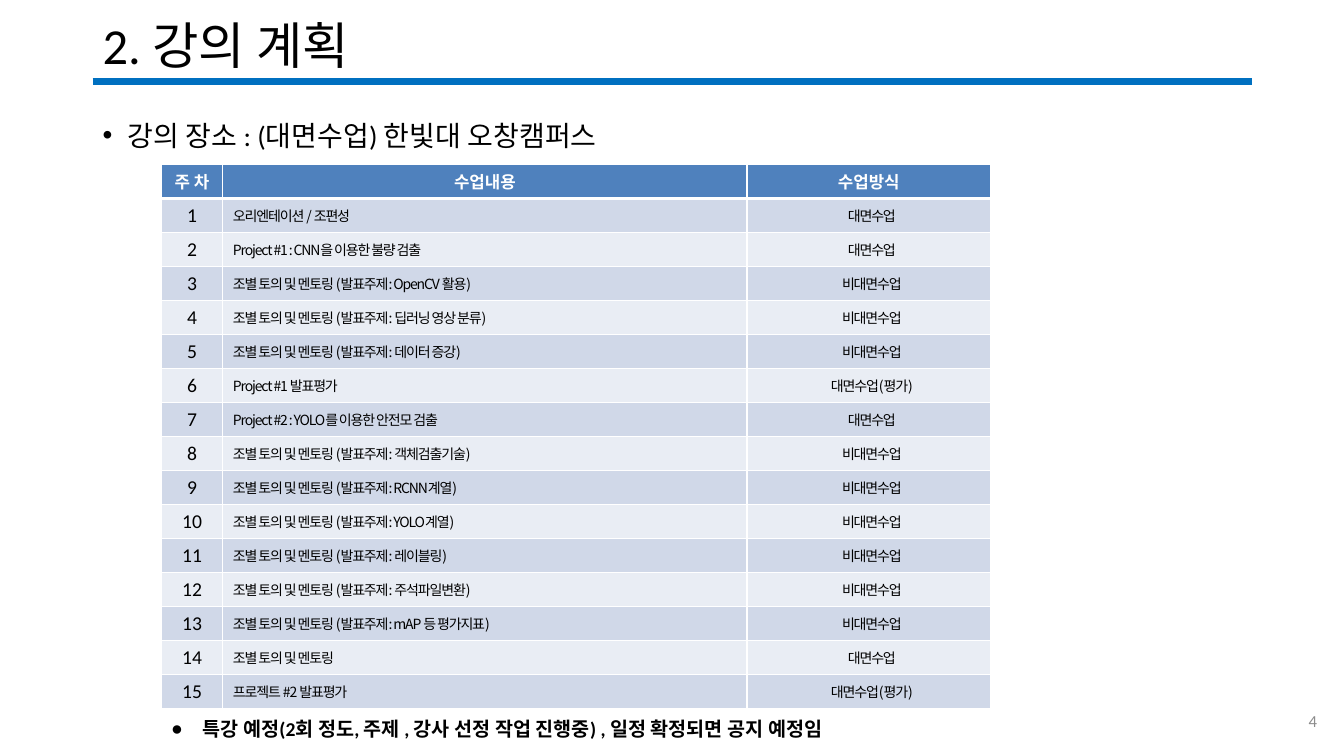
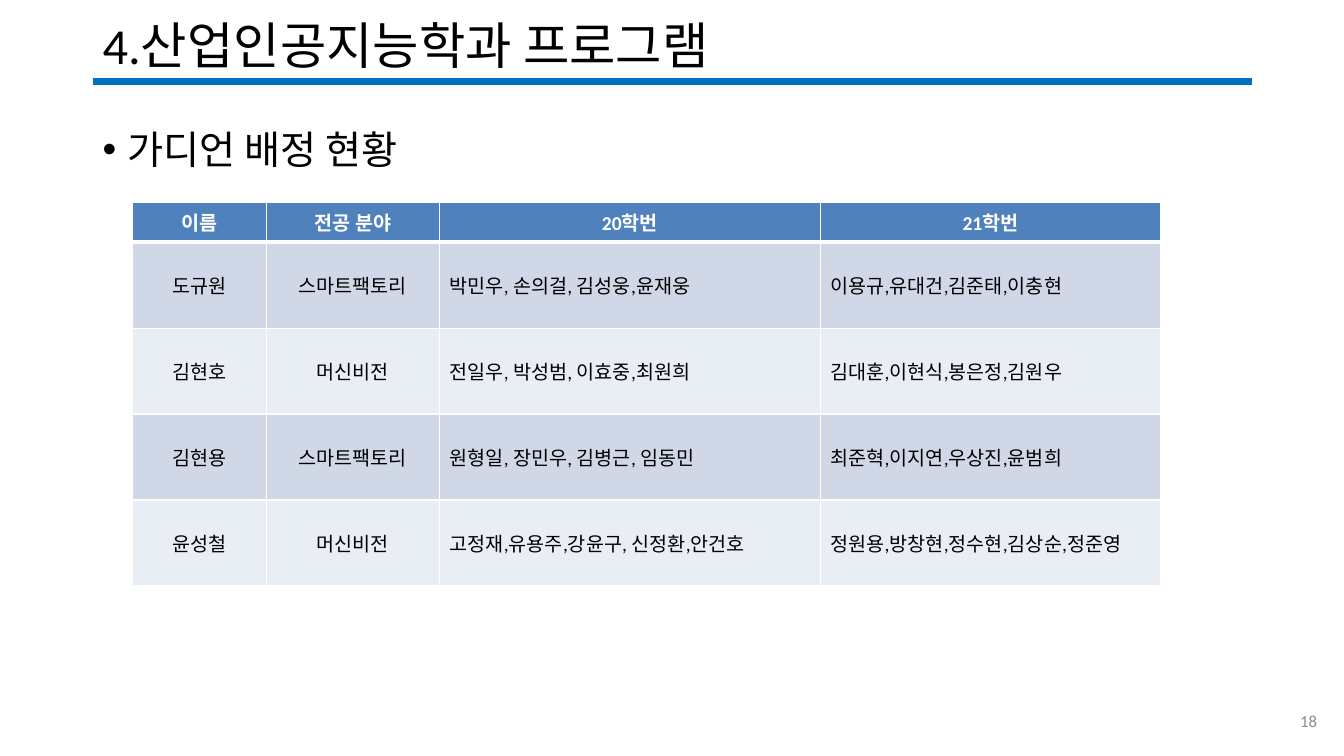
from lxml.etree import SubElement
from pptx import Presentation
from pptx.dml.color import RGBColor
from pptx.enum.shapes import MSO_CONNECTOR
from pptx.enum.text import MSO_ANCHOR, MSO_AUTO_SIZE, PP_ALIGN
from pptx.oxml.ns import qn
from pptx.util import Pt

BLACK = RGBColor(0x00, 0x00, 0x00)
WHITE = RGBColor(0xFF, 0xFF, 0xFF)
GRAY = RGBColor(0x8C, 0x8C, 0x8C)
RULE_BLUE = RGBColor(0x00, 0x70, 0xC0)
HEADER_BLUE = RGBColor(0x4F, 0x81, 0xBD)
BANDS = (RGBColor(0xD0, 0xD8, 0xE8), RGBColor(0xE9, 0xED, 0xF4))
LATIN_FONT = "Calibri"
KOREAN_FONT = "Noto Sans CJK KR"

LEFT, CONTENT_WIDTH = 66.2, 828
CENTER, START = PP_ALIGN.CENTER, PP_ALIGN.LEFT

ONSITE, REMOTE, GRADED = "대면수업", "비대면수업", "대면수업(평가)"
MENTORING = "조별 토의 및 멘토링"
WEEKS = [
    ("오리엔테이션 / 조편성", ONSITE),
    ("Project #1 : CNN을 이용한 불량 검출", ONSITE),
    (f"{MENTORING} (발표주제: OpenCV 활용)", REMOTE),
    (f"{MENTORING} (발표주제: 딥러닝 영상 분류)", REMOTE),
    (f"{MENTORING} (발표주제: 데이터 증강)", REMOTE),
    ("Project #1 발표평가", GRADED),
    ("Project #2 : YOLO를 이용한 안전모 검출", ONSITE),
    (f"{MENTORING} (발표주제: 객체검출기술)", REMOTE),
    (f"{MENTORING} (발표주제: RCNN계열)", REMOTE),
    (f"{MENTORING} (발표주제: YOLO계열)", REMOTE),
    (f"{MENTORING} (발표주제: 레이블링)", REMOTE),
    (f"{MENTORING} (발표주제: 주석파일변환)", REMOTE),
    (f"{MENTORING} (발표주제: mAP 등 평가지표)", REMOTE),
    (MENTORING, ONSITE),
    ("프로젝트 #2 발표평가", GRADED),
]
SMALL_TEXT = {"size": 10, "name": KOREAN_FONT, "tracking": -0.8, "margin_right": 2.88}

SLIDES = [
    {
        "title": "2. 강의 계획",
        "bullet": ("강의 장소 : (대면수업) 한빛대 오창캠퍼스", 20),
        "number": "4",
        "table": {
            "position": (115.2, 117.4),
            "widths": (44, 374.4, 174),
            "heights": (24.3, 24.3),
            "header_size": 12,
            "columns": [
                {"size": 14, "align": CENTER},
                {**SMALL_TEXT, "align": START},
                {**SMALL_TEXT, "align": CENTER},
            ],
            "rows": [("주 차", "수업내용", "수업방식")]
            + [(str(week), *entry) for week, entry in enumerate(WEEKS, 1)],
        },
        "note": "특강 예정(2회 정도, 주제 , 강사 선정 작업 진행중) , 일정 확정되면 공지 예정임",
    },
    {
        "title": "4.산업인공지능학과 프로그램",
        "bullet": ("가디언 배정 현황", 28),
        "number": "18",
        "table": {
            "position": (94.6, 144.4),
            "widths": (95.6, 123.8, 272, 243.2),
            "heights": (28.6, 61.4),
            "header_size": 14,
            "columns": [{"size": 14, "align": align} for align in (CENTER, CENTER, START, START)],
            "rows": [
                ("이름", "전공 분야", "20학번", "21학번"),
                ("도규원", "스마트팩토리", "박민우, 손의걸, 김성웅,윤재웅", "이용규,유대건,김준태,이충현"),
                ("김현호", "머신비전", "전일우, 박성범, 이효중,최원희", "김대훈,이현식,봉은정,김원우"),
                ("김현용", "스마트팩토리", "원형일, 장민우, 김병근, 임동민", "최준혁,이지연,우상진,윤범희"),
                ("윤성철", "머신비전", "고정재,유용주,강윤구, 신정환,안건호", "정원용,방창현,정수현,김상순,정준영"),
            ],
        },
    },
]


def write(paragraph, text, size, color=BLACK, bold=False, name=LATIN_FONT, tracking=0, **layout):
    run = paragraph.add_run()
    run.text = text
    run.font.color.rgb = color
    for key, value in {"size": Pt(size), "bold": bold, "name": name}.items():
        setattr(run.font, key, value)
    properties = run.font._element if hasattr(run.font, "_element") else run._r.get_or_add_rPr()
    SubElement(properties, qn("a:ea"), typeface=KOREAN_FONT)
    if tracking:
        properties.set("spc", str(round(tracking * 100)))
    for key, value in layout.items():
        setattr(paragraph, key, value)


def add_text(slide, box, text, size, anchor=MSO_ANCHOR.TOP, **style):
    shape = slide.shapes.add_textbox(*map(Pt, box))
    frame = shape.text_frame
    frame.word_wrap = True
    frame.vertical_anchor = anchor
    write(frame.paragraphs[0], text, size, **style)
    return frame.paragraphs[0]


def set_bullet(paragraph, character, indent):
    properties = paragraph._p.get_or_add_pPr()
    properties.set("marL", str(Pt(indent)))
    properties.set("indent", str(-Pt(indent)))
    SubElement(properties, qn("a:buFont"), typeface="Arial")
    SubElement(properties, qn("a:buChar"), char=character)


def set_borders(cell, bottom_width):
    properties = cell._tc.get_or_add_tcPr()
    for side, width in {"L": 1, "R": 1, "T": 1, "B": bottom_width}.items():
        line = SubElement(properties, qn(f"a:ln{side}"), w=str(Pt(width)))
        fill = SubElement(line, qn("a:solidFill"))
        SubElement(fill, qn("a:srgbClr"), val=str(WHITE))


def fill_cell(cell, text, color, style, margin_right=7.2, bottom_width=1):
    set_borders(cell, bottom_width)
    cell.fill.solid()
    cell.fill.fore_color.rgb = color
    cell.vertical_anchor = MSO_ANCHOR.MIDDLE
    cell.margin_right = Pt(margin_right)
    write(cell.text_frame.paragraphs[0], text, **style)


def add_schedule(slide, position, widths, heights, header_size, columns, rows):
    header_height, row_height = heights
    total_height = header_height + row_height * (len(rows) - 1)
    frame = slide.shapes.add_table(
        len(rows), len(widths), *map(Pt, (*position, sum(widths), total_height))
    )
    table = frame.table
    for column, width in zip(table.columns, widths):
        column.width = Pt(width)
    header_style = {"size": header_size, "color": WHITE, "bold": True, "alignment": CENTER}
    for row_index, texts in enumerate(rows):
        table.rows[row_index].height = Pt(row_height if row_index else header_height)
        for column_index, text in enumerate(texts):
            cell = table.cell(row_index, column_index)
            if row_index == 0:
                fill_cell(cell, text, HEADER_BLUE, header_style, bottom_width=3)
                continue
            style = dict(columns[column_index])
            style["alignment"] = style.pop("align")
            margin_right = style.pop("margin_right", 7.2)
            fill_cell(cell, text, BANDS[(row_index - 1) % 2], style, margin_right)


def add_title(slide, text):
    title = slide.shapes.title
    box = {"left": LEFT, "top": 10, "width": CONTENT_WIDTH, "height": 49}
    for key, value in box.items():
        setattr(title, key, Pt(value))
    title.text_frame.auto_size = MSO_AUTO_SIZE.NONE
    title.text_frame.vertical_anchor = MSO_ANCHOR.MIDDLE
    write(title.text_frame.paragraphs[0], text, 36, alignment=START, line_spacing=0.9)


def add_rule(slide):
    rule = slide.shapes.add_connector(
        MSO_CONNECTOR.STRAIGHT, *map(Pt, (LEFT, 58.3, LEFT + CONTENT_WIDTH, 58.3))
    )
    rule.line.color.rgb = RULE_BLUE
    rule.line.width = Pt(5)
    SubElement(rule._element.spPr, qn("a:effectLst"))


def build_slide(presentation, content):
    slide = presentation.slides.add_slide(presentation.slide_layouts[5])
    add_rule(slide)
    add_title(slide, content["title"])
    bullet = add_text(
        slide, (LEFT, 69, CONTENT_WIDTH, 50), *content["bullet"], line_spacing=1.5, space_before=Pt(10)
    )
    set_bullet(bullet, "•", 18)
    add_text(
        slide, (732, 500.4, 216, 28.8), content["number"], 12,
        anchor=MSO_ANCHOR.MIDDLE, color=GRAY, alignment=PP_ALIGN.RIGHT,
    )
    add_schedule(slide, **content["table"])
    if "note" in content:
        note = add_text(
            slide, (115.2, 500.4, 574.6, 30.2), content["note"], 14, bold=True, line_spacing=1.5
        )
        set_bullet(note, "●", 22.5)


def main():
    presentation = Presentation()
    presentation.slide_width, presentation.slide_height = Pt(960), Pt(540)
    for content in SLIDES:
        build_slide(presentation, content)
    presentation.save("out.pptx")


if __name__ == "__main__":
    main()
